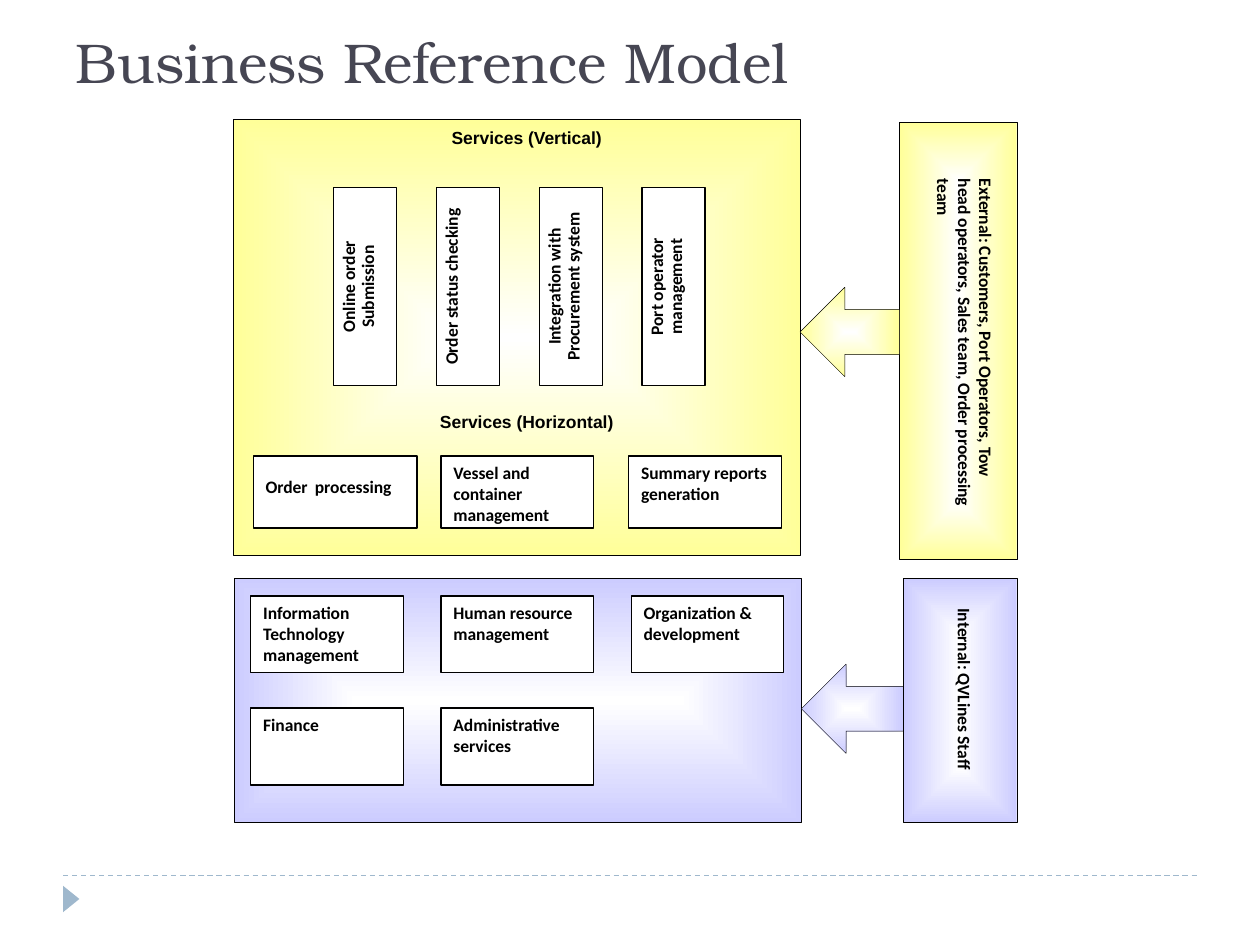
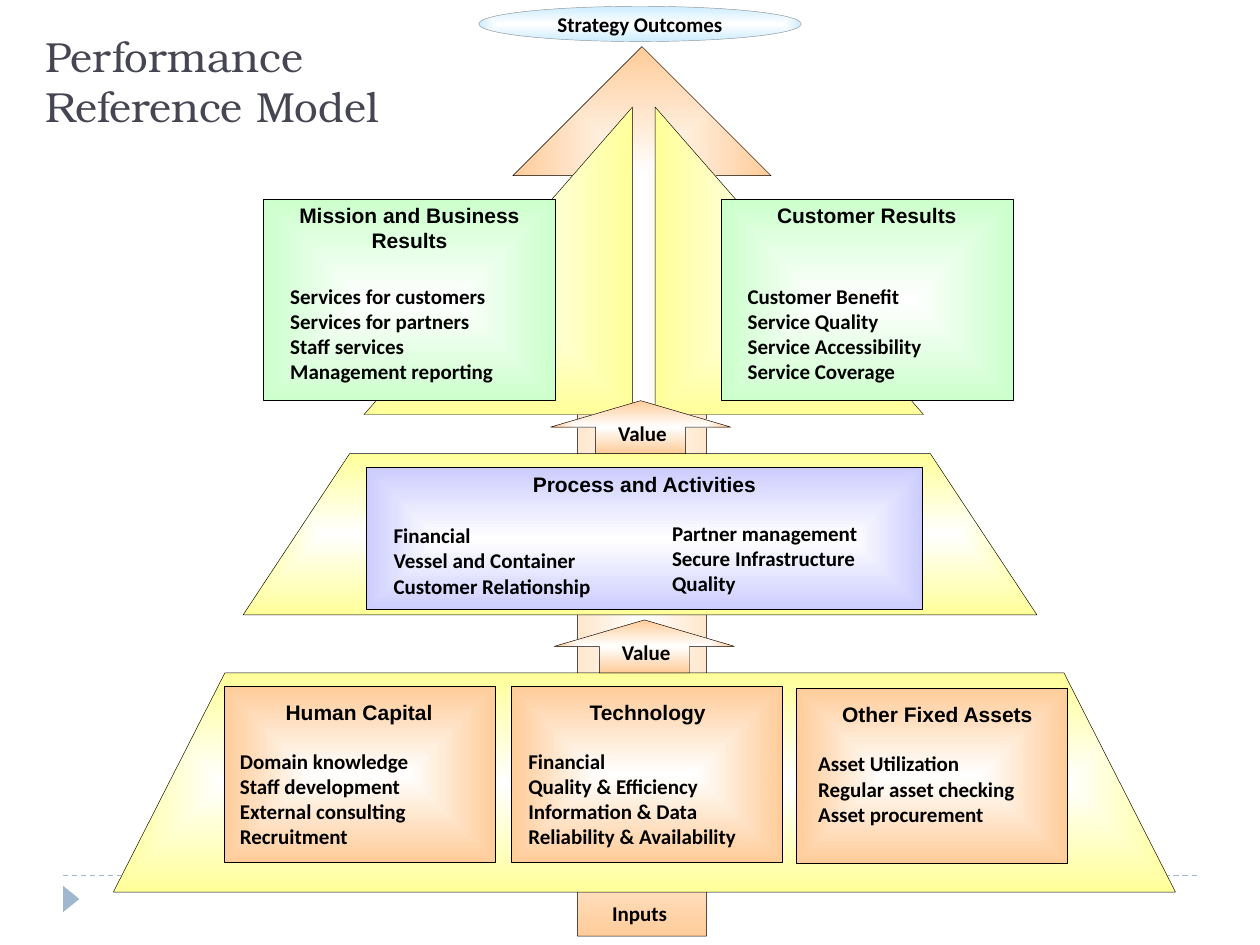
from pptx import Presentation
from pptx.dml.color import RGBColor
from pptx.enum.dml import MSO_LINE
from pptx.enum.shapes import MSO_CONNECTOR, MSO_SHAPE
from pptx.enum.text import MSO_ANCHOR, MSO_AUTO_SIZE, PP_ALIGN
from pptx.oxml import parse_xml
from pptx.oxml.ns import nsdecls, qn
from pptx.util import Inches, Pt
from lxml.etree import SubElement

TITLE_FONT, HEADING_FONT, BODY_FONT = "TeX Gyre Bonum", "Arial", "Calibri"
INK, BLACK, WHITE, MIST, GRAY = "464653", "000000", "FFFFFF", "9FB8CD", "969696"
YELLOW, LILAC, ORANGE, GREEN, SKY = "FFFF99", "CCCCFF", "FFCC99", "CCFFCC", "CCECFF"

ZONES = [
    ((1.85, 0.95, 4.5, 3.46), YELLOW),
    ((1.86, 4.59, 4.5, 1.94), LILAC),
    ((7.14, 0.97, 0.93, 3.47), YELLOW),
    ((7.17, 4.59, 0.9, 1.94), LILAC),
]
ZONE_ARROWS = [
    ((6.35, 2.28, 0.79, 0.71), YELLOW),
    ((6.36, 5.27, 0.81, 0.71), LILAC),
]
SERVICE_HEADINGS = [("Services (Vertical)", 0.98), ("Services (Horizontal)", 3.23)]
VERTICAL_SERVICES = [
    "Online order Submission",
    "Order status checking",
    "Integration with Procurement system",
    "Port operator management",
]
HORIZONTAL_SERVICES = [
    ([("Order", 10, True), (" ", 18, False), ("processing", 10, True)], 2.01, 1.3),
    ("Vessel and container management", 3.5, 1.21),
    ("Summary reports generation", 4.99, 1.21),
]
INTERNAL_SERVICES = [
    ["Information Technology management", "Human resource management",
     "Organization & development"],
    ["Finance", "Administrative services"],
]
AUDIENCES = [
    ("External: Customers, Port Operators, Tow head operators, Sales team, "
     "Order processing team", (7.25, 1.32, 0.71, 2.86)),
    ("Internal: QVLines Staff", (7.42, 4.73, 0.37, 1.68)),
]

TRAPEZOIDS = [((1.93, 3.6, 6.3, 1.28), 0.661), ((0.9, 5.34, 8.43, 1.74), 0.509)]
TRIANGLES = [(5.2, False), (2.89, True)]
VALUE_ARROWS = [(4.37, 3.18), (4.4, 4.92)]
PANELS = [
    ("Mission and Business Results", GREEN, (2.09, 1.58, 2.32, 1.6), (2.09, 1.56, 2.32),
     [(0.64, ["Services for customers", "Services for partners", "Staff services",
              "Management reporting"])]),
    ("Customer Results", GREEN, (5.72, 1.58, 2.32, 1.6), (5.72, 1.56, 2.32),
     [(0.64, ["Customer Benefit", "Service Quality", "Service Accessibility",
              "Service Coverage"])]),
    ("Process and Activities", LILAC, (2.91, 3.71, 4.41, 1.13), (2.91, 3.69, 4.41),
     [(0.41, ["Financial", "Vessel and Container", "Customer Relationship"]),
      (0.39, ["Partner management", "Secure Infrastructure", "Quality"])]),
    ("Human Capital", ORANGE, (1.78, 5.45, 2.15, 1.39), (1.69, 5.5, 2.32),
     [(0.39, ["Domain knowledge", "Staff development", "External consulting",
              "Recruitment"])]),
    ("Technology", ORANGE, (4.06, 5.45, 2.15, 1.39), (3.98, 5.5, 2.32),
     [(0.39, ["Financial", "Quality & Efficiency", "Information & Data",
              "Reliability & Availability"])]),
    ("Other Fixed Assets", ORANGE, (6.32, 5.46, 2.15, 1.39), (6.28, 5.52, 2.32),
     [(0.39, ["Asset Utilization", "Regular asset checking", "Asset procurement"])]),
]


def rgb(color):
    return RGBColor.from_string(color)


def inches(box):
    return [Inches(length) for length in box]


def write(shape, paragraphs, size, font=BODY_FONT, color=BLACK, bold=True,
          align=PP_ALIGN.LEFT, spacing=None, vert=None, anchor=MSO_ANCHOR.TOP,
          margins=(0.1, 0.05), wrap=True):
    frame = shape.text_frame
    frame.auto_size = MSO_AUTO_SIZE.NONE
    frame.word_wrap = wrap
    frame.vertical_anchor = anchor
    frame.margin_left = frame.margin_right = Inches(margins[0])
    frame.margin_top = frame.margin_bottom = Inches(margins[1])
    if vert:
        frame._txBody.bodyPr.set("vert", vert)
    for index, content in enumerate(paragraphs):
        paragraph = frame.add_paragraph() if index else frame.paragraphs[0]
        paragraph.alignment = align
        if spacing:
            paragraph.line_spacing = spacing
        runs = [(content, size, bold)] if isinstance(content, str) else content
        for words, run_size, run_bold in runs:
            run = paragraph.add_run()
            run.text = words
            run.font.name = font
            run.font.size = Pt(run_size)
            run.font.bold = run_bold
            run.font.color.rgb = rgb(color)


def add_text(slide, box, paragraphs, size, **style):
    write(slide.shapes.add_textbox(*inches(box)), paragraphs, size, **style)


def add_solid(slide, preset, box, fill, line=None):
    shape = slide.shapes.add_shape(preset, *inches(box))
    shape.fill.solid()
    shape.fill.fore_color.rgb = rgb(fill)
    if line:
        shape.line.color.rgb = rgb(line)
        shape.line.width = Pt(0.75)
    else:
        shape.line.fill.background()
    shape.shadow.inherit = False
    return shape


def add_glow(slide, preset, box, edge, route="shape", line=BLACK):
    shape = slide.shapes.add_shape(preset, *inches(box))
    shape._element.spPr.append(parse_xml(
        f'<a:gradFill rotWithShape="1" {nsdecls("a")}><a:gsLst>'
        f'<a:gs pos="0"><a:srgbClr val="{WHITE}"/></a:gs>'
        f'<a:gs pos="100000"><a:srgbClr val="{edge}"/></a:gs></a:gsLst>'
        f'<a:path path="{route}"><a:fillToRect l="50000" t="50000" r="50000" b="50000"/>'
        '</a:path></a:gradFill>'))
    shape.line.color.rgb = rgb(line)
    shape.line.width = Pt(0.25)
    shape.shadow.inherit = False
    return shape


def add_slide(deck, title_lines, box, size):
    slide = deck.slides.add_slide(deck.slide_layouts[5])
    title = slide.shapes.title
    title.left, title.top, title.width, title.height = inches(box)
    write(title, title_lines, size, font=TITLE_FONT, color=INK, bold=False)
    rule = slide.shapes.add_connector(MSO_CONNECTOR.STRAIGHT, *inches((0.5, 6.95, 9.5, 6.95)))
    rule.line.color.rgb = rgb(MIST)
    rule.line.width = Pt(0.75)
    rule.line.dash_style = MSO_LINE.DASH
    SubElement(rule._element.spPr, qn("a:effectLst"))
    add_solid(slide, MSO_SHAPE.ISOSCELES_TRIANGLE, (0.46, 7.07, 0.21, 0.13), MIST).rotation = 90
    return slide


def add_card(slide, box, content, **style):
    card = add_solid(slide, MSO_SHAPE.RECTANGLE, box, WHITE, BLACK)
    write(card, [content], 10, **style)


def build_business(deck):
    slide = add_slide(deck, ["Business Reference Model"], (0.5, 0.17, 9, 1.08), 32)
    for box, color in ZONES:
        add_glow(slide, MSO_SHAPE.RECTANGLE, box, color)
    for box, color in ZONE_ARROWS:
        add_glow(slide, MSO_SHAPE.LEFT_ARROW, box, color, "rect")
    for heading, top in SERVICE_HEADINGS:
        add_text(slide, (2.91, top, 2.54, 0.25), [heading], 10, font=HEADING_FONT,
                 align=PP_ALIGN.CENTER, spacing=0.9)
    for index, service in enumerate(VERTICAL_SERVICES):
        add_card(slide, (2.65 + 0.815 * index, 1.49, 0.5, 1.57), service,
                 align=PP_ALIGN.CENTER, spacing=0.9, vert="vert270")
    for service, left, width in HORIZONTAL_SERVICES:
        add_card(slide, (left, 3.62, width, 0.57), service)
    for row, services in enumerate(INTERNAL_SERVICES):
        for column, service in enumerate(services):
            add_card(slide, (1.99 + 1.51 * column, 4.73 + 0.89 * row, 1.21, 0.61), service)
    for audience, box in AUDIENCES:
        add_text(slide, box, [audience], 10, vert="eaVert")


def build_performance(deck):
    slide = add_slide(deck, ["Performance", "Reference Model"], (0.26, 0.19, 9, 1.08), 24)
    add_glow(slide, MSO_SHAPE.UP_ARROW, (4.07, 0.37, 2.05, 7.06), ORANGE, "rect")
    for box, slant in TRAPEZOIDS:
        add_glow(slide, MSO_SHAPE.TRAPEZOID, box, YELLOW).adjustments[0] = slant
    for left, mirrored in TRIANGLES:
        triangle = add_glow(slide, MSO_SHAPE.RIGHT_TRIANGLE, (left, 0.85, 2.13, 2.44), YELLOW)
        if mirrored:
            triangle._element.spPr.xfrm.set("flipH", "1")
    for heading, color, box, (left, top, width), columns in PANELS:
        add_glow(slide, MSO_SHAPE.RECTANGLE, box, color)
        add_text(slide, (left, top, width, 0.3), [heading], 12, font=HEADING_FONT,
                 align=PP_ALIGN.CENTER)
        for index, (drop, items) in enumerate(columns):
            add_text(slide, (left + 0.115 + 2.21 * index, top + drop, 2.09,
                             0.11 + 0.2 * len(items)), items, 12)
    for left, top in VALUE_ARROWS:
        arrow = add_glow(slide, MSO_SHAPE.UP_ARROW, (left, top, 1.43, 0.42), ORANGE, "rect")
        write(arrow, [[(" ", 9, False), ("Value", 12, True)]], 12,
              align=PP_ALIGN.CENTER, wrap=False)
    outcomes = add_glow(slide, MSO_SHAPE.OVAL, (3.8, 0.05, 2.56, 0.28), SKY, line=GRAY)
    write(outcomes, ["Strategy Outcomes"], 12, align=PP_ALIGN.CENTER,
          anchor=MSO_ANCHOR.MIDDLE, margins=(0, 0))
    add_text(slide, (4.76, 7.1, 0.94, 0.3), ["Inputs"], 12)


def main():
    deck = Presentation()
    deck.slide_width, deck.slide_height = Inches(10), Inches(7.5)
    build_business(deck)
    build_performance(deck)
    deck.save("out.pptx")


if __name__ == "__main__":
    main()
